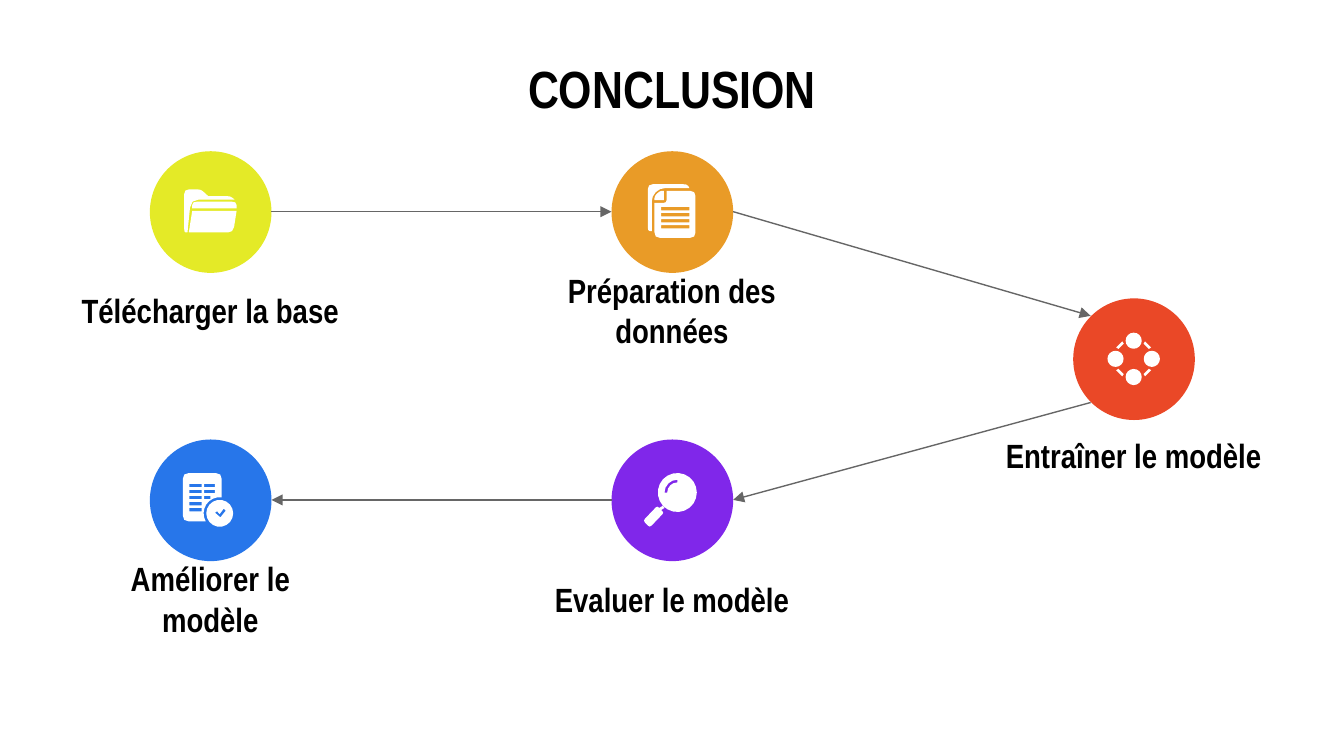
from math import cos, dist, radians, sin

from pptx import Presentation
from pptx.dml.color import RGBColor
from pptx.enum.shapes import MSO_CONNECTOR as Connector, MSO_SHAPE as Shape
from pptx.enum.text import MSO_ANCHOR as Anchor, PP_ALIGN as Align
from pptx.oxml.xmlchemy import OxmlElement
from pptx.util import Emu, Pt

PX = 4572
FONT = "Arial Narrow"
COLOURS = {
    "white": "FFFFFF", "black": "000000", "grey": "666666", "yellow": "E4EA27",
    "orange": "E99B27", "red": "EA4827", "purple": "8027EA", "blue": "2776EA",
}
DISC = 181
LABEL_WIDTH, LABEL_HEIGHT = 426, 72
COLUMNS = [223 + 687 * column for column in range(3)]
ROWS = {"top": 225, "middle": 444, "bottom": 654}


def px(length):
    """Turn pixels into EMU."""
    return Emu(round(length * PX))


def colour(name):
    """Look up a named colour."""
    return RGBColor.from_string(COLOURS[name])


def paint(shape, name):
    """Give a shape a flat fill without line or shadow."""
    shape.shadow.inherit = False
    shape.fill.solid()
    shape.fill.fore_color.rgb = colour(name)
    shape.line.fill.background()


def arc(x, y, radius, start, end, steps):
    """Return points along an arc, with angles in degrees clockwise from the right."""
    angles = [radians(start + (end - start) * step / steps) for step in range(steps + 1)]
    return [(x + radius * cos(angle), y + radius * sin(angle)) for angle in angles]


def circle(x, y, radius):
    """Return the outline of a full circle, finer when it is larger."""
    return arc(x, y, radius, 0, 360, 12 + radius // 3)[:-1]


def band(x, y, inner, outer, start, end, steps):
    """Return the outline of a curved stroke."""
    return arc(x, y, outer, start, end, steps) + arc(x, y, inner, end, start, steps)


def rounded(*corners):
    """Return a polygon outline whose (x, y, radius) corners are softened."""
    points = []
    for index, (x, y, radius) in enumerate(corners):
        if not radius:
            points.append((x, y))
            continue
        ends = []
        for other in (corners[index - 1], corners[(index + 1) % len(corners)]):
            share = min(radius / dist((x, y), other[:2]), 0.5)
            ends.append((x + (other[0] - x) * share, y + (other[1] - y) * share))
        (left, top), (right, bottom) = ends
        points += [ends[0], ((left + 2 * x + right) / 4, (top + 2 * y + bottom) / 4), ends[1]]
    return points


def bar(left, top, right):
    """Return a short line of text as a thin bar."""
    return [(left, top), (right, top), (right, top + 5), (left, top + 5)]


def folder_icon():
    """Return the outlines of an open folder."""
    return [
        rounded((63, 75, 8), (129, 75, 8), (129, 85, 0), (63, 85, 0)),
        rounded((63, 89, 0), (129, 89, 0), (124, 121, 8), (58, 121, 0)),
        rounded((51, 57, 7), (76, 57, 4), (87, 67, 0), (120, 67, 4), (126, 72, 0),
                (61, 72, 12), (56, 121, 0), (51, 121, 6)),
    ]


def documents_icon():
    """Return the outlines of two stacked documents."""
    return [
        rounded((54, 49, 8), (113, 49, 8), (116, 55, 0), (72, 55, 8), (60, 67, 8),
                (60, 119, 0), (54, 119, 6)),
        rounded((82, 59, 0), (125, 59, 8), (125, 129, 8), (64, 129, 8), (64, 77, 0),
                (82, 77, 4)),
        rounded((78, 59, 0), (78, 73, 0), (64, 73, 0), (64, 67, 4), (72, 59, 6)),
    ] + [bar(74, 83 + 9 * row, 116) for row in range(4)]


def network_icon():
    """Return the outlines of a ring of four nodes."""
    nodes = [circle(x, y, 12) for x, y in arc(90, 90, 27, 0, 270, 3)]
    links = [band(90, 90, 27, 31, turn + 33, turn + 57, 1) for turn in range(0, 360, 90)]
    return nodes + links


def magnifier_icon():
    """Return the outlines of a magnifying glass."""
    return [
        circle(98, 79, 29),
        band(98, 79, 15, 19, 180, 270, 4),
        [(76, 99), (79, 102), (74, 105), (71, 102)],
        rounded((68, 99, 3), (78, 109, 3), (57, 131, 4), (47, 121, 4)),
    ]


def checklist_icon():
    """Return the outlines of a checked page."""
    sheet = rounded((107, 86, 0), (107, 50, 9), (49, 50, 9), (49, 122, 9), (83, 122, 0))
    rows = [66 + 9 * row for row in range(5)]
    ticks = [bar(59, top, 77) for top in rows]
    notes = [bar(81, top, right) for top, right in zip(rows, (97, 97, 90))]
    check = [(97, 109), (100, 107), (104, 111), (110, 103), (113, 106), (105, 116)]
    return [sheet + arc(104, 110, 24, 150, 277, 8), circle(104, 110, 20), check] + ticks + notes


def add_icon(page, left, top, outlines):
    """Draw a white icon inside a disc box as one shape."""
    placed = [[(px(left + x), px(top + y)) for x, y in outline] for outline in outlines]
    builder = page.shapes.build_freeform(*placed[0][0], scale=1.0)
    builder.add_line_segments(placed[0][1:], close=True)
    for outline in placed[1:]:
        builder.move_to(*outline[0])
        builder.add_line_segments(outline[1:], close=True)
    paint(builder.convert_to_shape(), "white")


def add_text(page, left, top, width, height, text, size):
    """Place a bold centred line of text."""
    box = page.shapes.add_textbox(px(left), px(top), px(width), px(height))
    frame = box.text_frame
    frame.word_wrap = True
    frame.vertical_anchor = Anchor.MIDDLE
    frame.margin_left = frame.margin_right = px(20)
    frame.margin_top = frame.margin_bottom = px(20)
    frame.text = text
    para = frame.paragraphs[0]
    para.alignment = Align.CENTER
    font = para.runs[0].font
    font.name, font.size, font.bold = FONT, Pt(size), True
    font.color.rgb = colour("black")


def add_step(page, left, top, fill, label, gap, outlines):
    """Draw a step: a coloured disc, its icon and its label."""
    disc = page.shapes.add_shape(Shape.OVAL, px(left), px(top), px(DISC), px(DISC))
    paint(disc, fill)
    add_icon(page, left, top, outlines)
    label_left = left + (DISC - LABEL_WIDTH) // 2
    add_text(page, label_left, top + DISC + gap, LABEL_WIDTH, LABEL_HEIGHT, label, 18)


def add_arrow(page, start, end):
    """Draw a thin grey arrow between two points."""
    arrow = page.shapes.add_connector(Connector.STRAIGHT, *map(px, start + end))
    arrow.line.color.rgb = colour("grey")
    arrow.line.width = Pt(0.75)
    head = OxmlElement("a:tailEnd")
    head.set("type", "triangle")
    arrow.line._get_or_add_ln().append(head)
    arrow._element.spPr.append(OxmlElement("a:effectLst"))


def add_flow(page):
    """Draw the five steps and the arrows that join them."""
    first, second, third = COLUMNS
    top, middle, bottom = ROWS.values()
    for step in (
        (first, top, "yellow", "Télécharger la base", 20, folder_icon()),
        (second, top, "orange", "Préparation des données", 20, documents_icon()),
        (third, middle, "red", "Entraîner le modèle", 16, network_icon()),
        (second, bottom, "purple", "Evaluer le modèle", 20, magnifier_icon()),
        (first, bottom, "blue", "Améliorer le modèle", 20, checklist_icon()),
    ):
        add_step(page, *step)
    half, inset = DISC // 2, 26
    upper, lower = top + half, bottom + half
    add_arrow(page, (first + DISC, upper), (second, upper))
    add_arrow(page, (second + DISC, upper), (third + inset, middle + inset))
    add_arrow(page, (third + inset, middle + DISC - inset), (second + DISC, lower))
    add_arrow(page, (second, lower), (first + DISC, lower))


def main():
    """Build and save the deck."""
    deck = Presentation()
    deck.slide_width, deck.slide_height = px(2000), px(1125)
    page = deck.slides.add_slide(deck.slide_layouts[6])
    add_text(page, 100, 90, 1800, 82, "CONCLUSION", 28)
    add_flow(page)
    deck.save("out.pptx")


if __name__ == "__main__":
    main()
